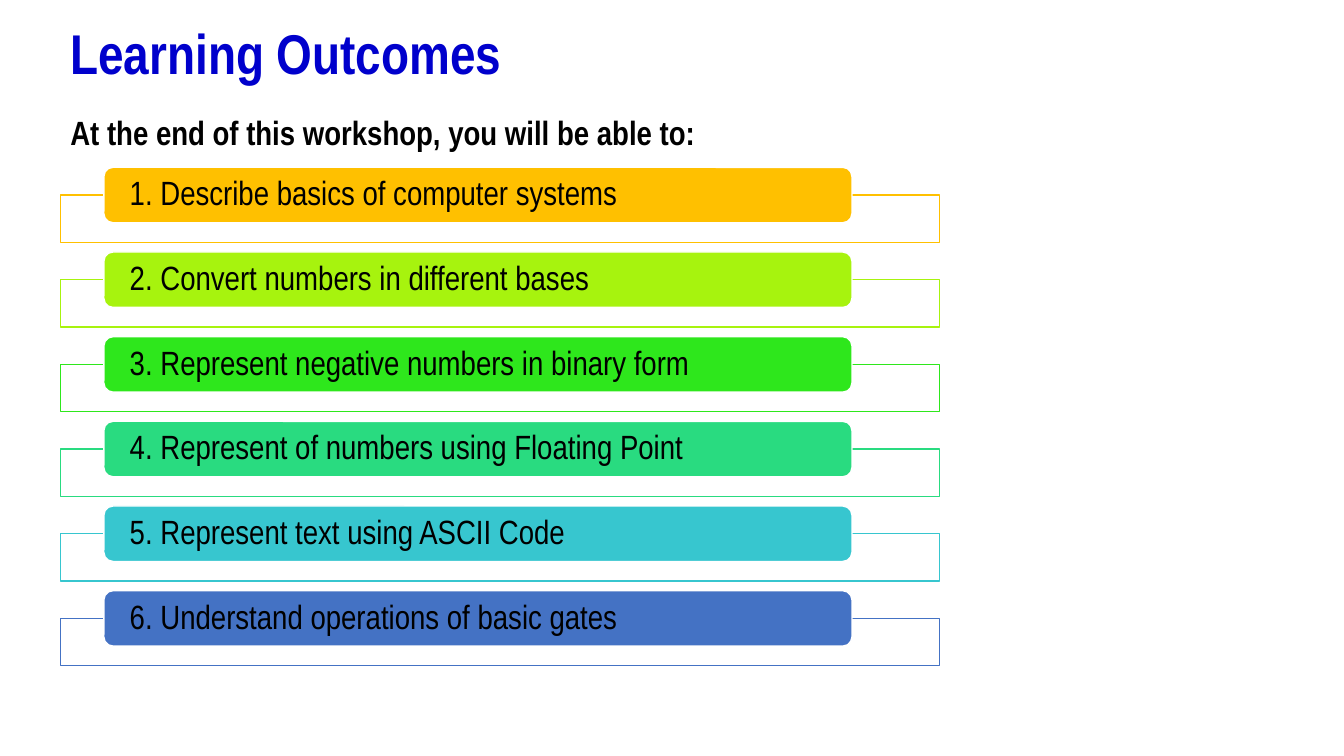
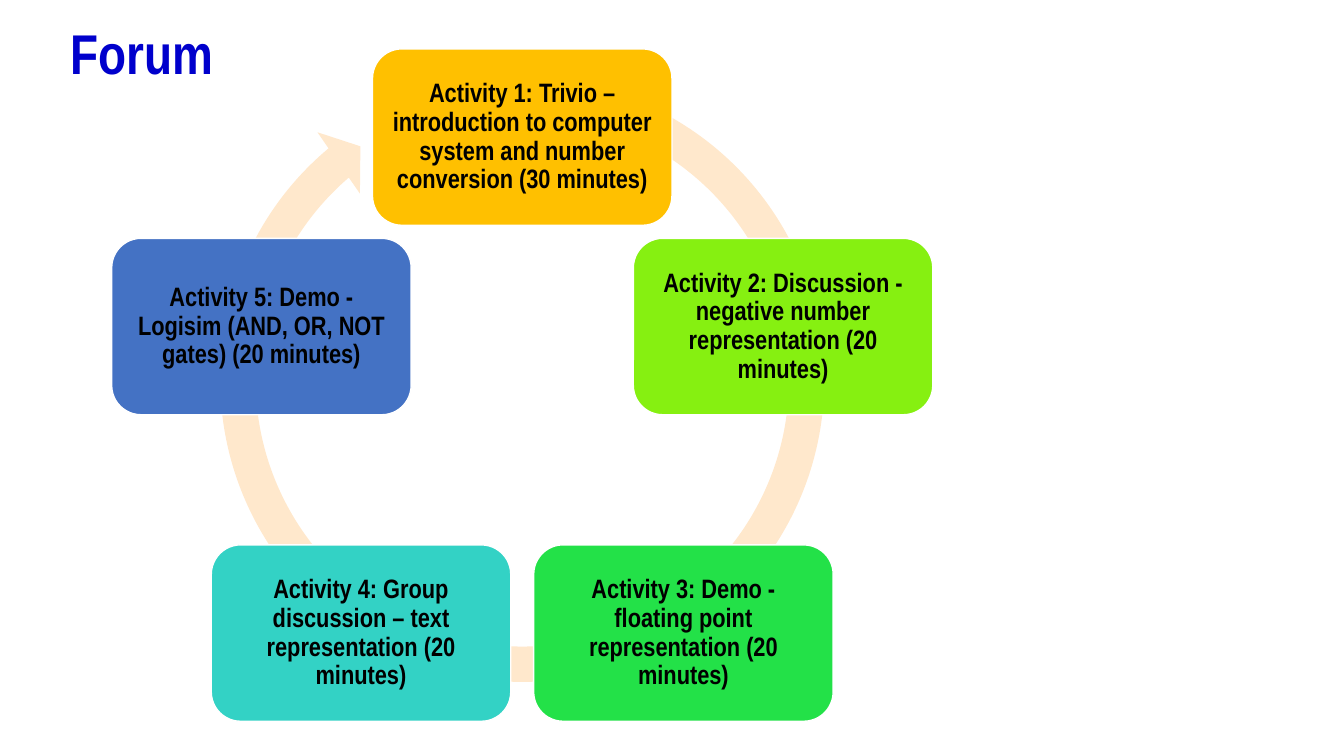
import math
from dataclasses import dataclass

from pptx import Presentation
from pptx.dml.color import RGBColor
from pptx.enum import shapes, text
from pptx.util import Inches, Pt


@dataclass(frozen=True)
class Theme:
    font: str = "Arial Narrow"
    title: str = "0000CC"
    ink: str = "000000"
    paper: str = "FFFFFF"
    ring: str = "FFE8CC"
    title_size: int = 40
    body_size: int = 24
    card_size: int = 19
    line_width: int = 1


theme = Theme()
kinds = shapes.MSO_SHAPE


def add_text(box, words, size, color=theme.ink, bold=False, align=text.PP_ALIGN.LEFT,
             spacing=0.9, **frame_format):
    frame = box.text_frame
    for name, value in frame_format.items():
        setattr(frame, name, value)
    para = frame.paragraphs[0]
    para.alignment = align
    para.line_spacing = spacing
    span = para.add_run()
    span.text = words
    for name, value in {"name": theme.font, "size": Pt(size), "bold": bold}.items():
        setattr(span.font, name, value)
    span.font.color.rgb = RGBColor.from_string(color)


def add_block(page, kind, left, top, width, height, fill, line=None):
    """Add a flat preset shape placed in inches; no line colour means no outline."""
    block = page.shapes.add_shape(kind, Inches(left), Inches(top), Inches(width), Inches(height))
    block.shadow.inherit = False
    block.fill.solid()
    block.fill.fore_color.rgb = RGBColor.from_string(fill)
    if line:
        block.line.color.rgb = RGBColor.from_string(line)
        block.line.width = Pt(theme.line_width)
    else:
        block.line.fill.background()
    return block


deck = Presentation()
deck.slide_width, deck.slide_height = Inches(13.33), Inches(7.5)

pages = []
for heading in ("Learning Outcomes", "Forum"):
    page = deck.slides.add_slide(deck.slide_layouts[6])
    box = page.shapes.add_textbox(Inches(0.6), Inches(0.21), Inches(8.15), Inches(0.81))
    add_text(box, heading, theme.title_size, theme.title, bold=True, word_wrap=True)
    pages.append(page)
outcomes_page, forum_page = pages

# Learning outcomes: a numbered bar on the top edge of each frame
outcomes = [
    ("Describe basics of computer systems", "FFC000"),
    ("Convert numbers in different bases", "A7F30E"),
    ("Represent negative numbers in binary form", "2EE71C"),
    ("Represent of numbers using Floating Point", "29DB80"),
    ("Represent text using ASCII Code", "37C6CF"),
    ("Understand operations of basic gates", "4472C4"),
]
first_bar, bar_pitch, bar_height = 1.66, 0.84, 0.55
for index, (outcome, color) in enumerate(outcomes):
    top = first_bar + index * bar_pitch
    add_block(outcomes_page, kinds.RECTANGLE, 0.6, top + bar_height / 2, 8.72, 0.47,
              theme.paper, color)
    bar = add_block(outcomes_page, kinds.ROUNDED_RECTANGLE, 1.03, top, 7.42, bar_height,
                    color, theme.paper)
    add_text(bar, f"{index + 1}. {outcome}", theme.body_size, word_wrap=True,
             vertical_anchor=text.MSO_ANCHOR.MIDDLE, margin_left=Inches(0.23),
             margin_right=Inches(0.23), margin_top=0, margin_bottom=0)

box = outcomes_page.shapes.add_textbox(Inches(0.6), Inches(1.06), Inches(6.47), Inches(0.5))
add_text(box, "At the end of this workshop, you will be able to:", theme.body_size, bold=True,
         spacing=1.0, word_wrap=False, auto_size=text.MSO_AUTO_SIZE.SHAPE_TO_FIT_TEXT)

# Forum: activity cards spaced evenly clockwise around a circle, starting at the top
ring = add_block(forum_page, kinds.CIRCULAR_ARROW, 1.99, 0.58, 6.38, 6.38, theme.ring)
for index, value in enumerate((0.055, 3.307, 137.868, 173.793, 0.058)):
    ring.adjustments[index] = value

activities = [
    ("Trivio – introduction to computer system and number conversion (30 minutes)", "FFC000"),
    ("Discussion - negative number representation (20 minutes)", "86F011"),
    ("Demo - floating point representation (20 minutes)", "23E148"),
    ("Group discussion – text representation (20 minutes)", "33D2C5"),
    ("Demo - Logisim (AND, OR, NOT gates) (20 minutes)", "4472C4"),
]
center_x, center_y, radius = 5.18, 4.08, 2.72
card_width, card_height = 2.97, 1.75
card_margins = {f"margin_{side}": Inches(0.08) for side in ("left", "right", "top", "bottom")}
for index, (activity, color) in enumerate(activities):
    angle = index * math.tau / len(activities)
    left = center_x + radius * math.sin(angle) - card_width / 2
    top = center_y - radius * math.cos(angle) - card_height / 2
    card = add_block(forum_page, kinds.ROUNDED_RECTANGLE, left, top, card_width, card_height,
                     color, theme.paper)
    add_text(card, f"Activity {index + 1}: {activity}", theme.card_size, bold=True,
             align=text.PP_ALIGN.CENTER, word_wrap=True,
             vertical_anchor=text.MSO_ANCHOR.MIDDLE, **card_margins)

deck.save("out.pptx")
